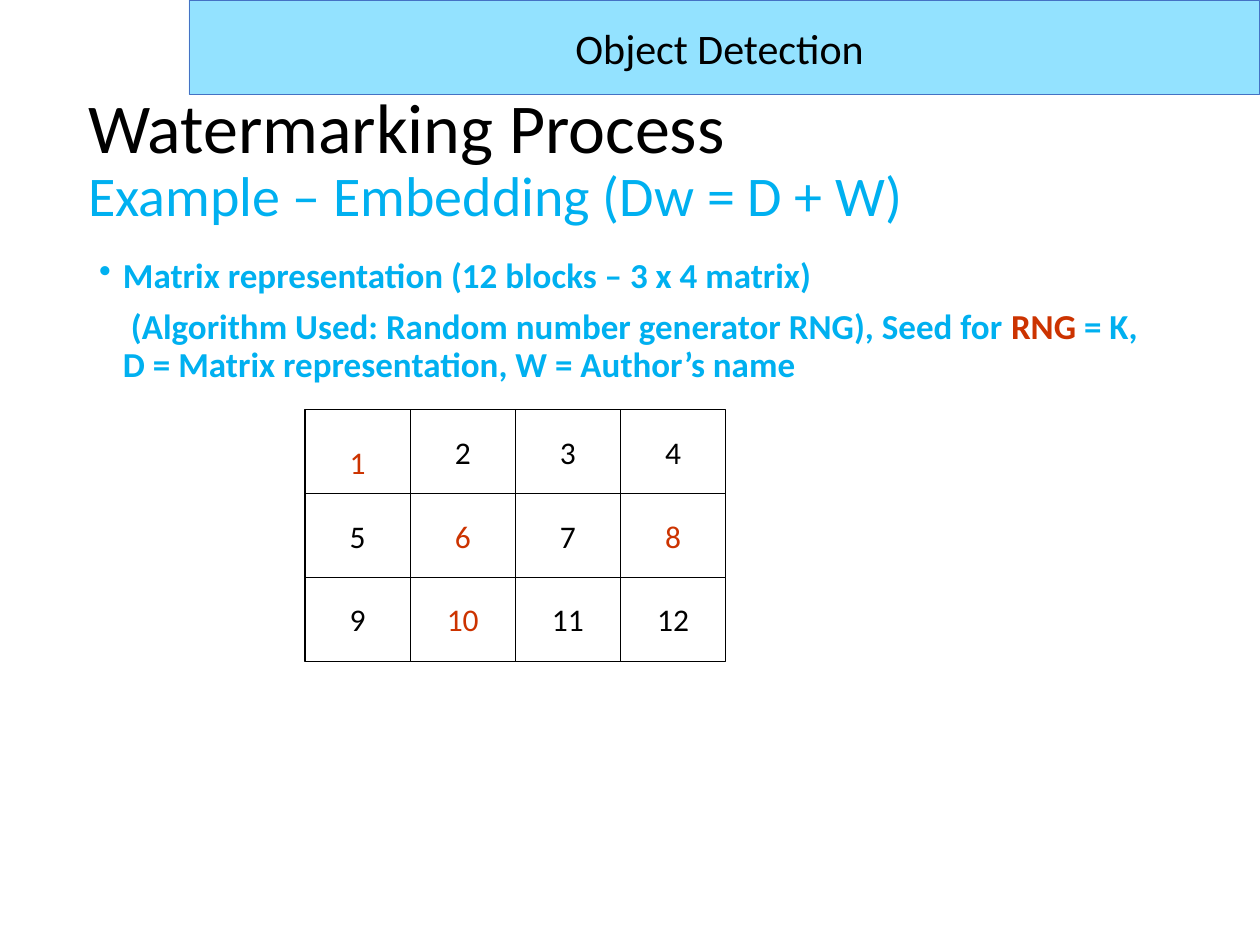
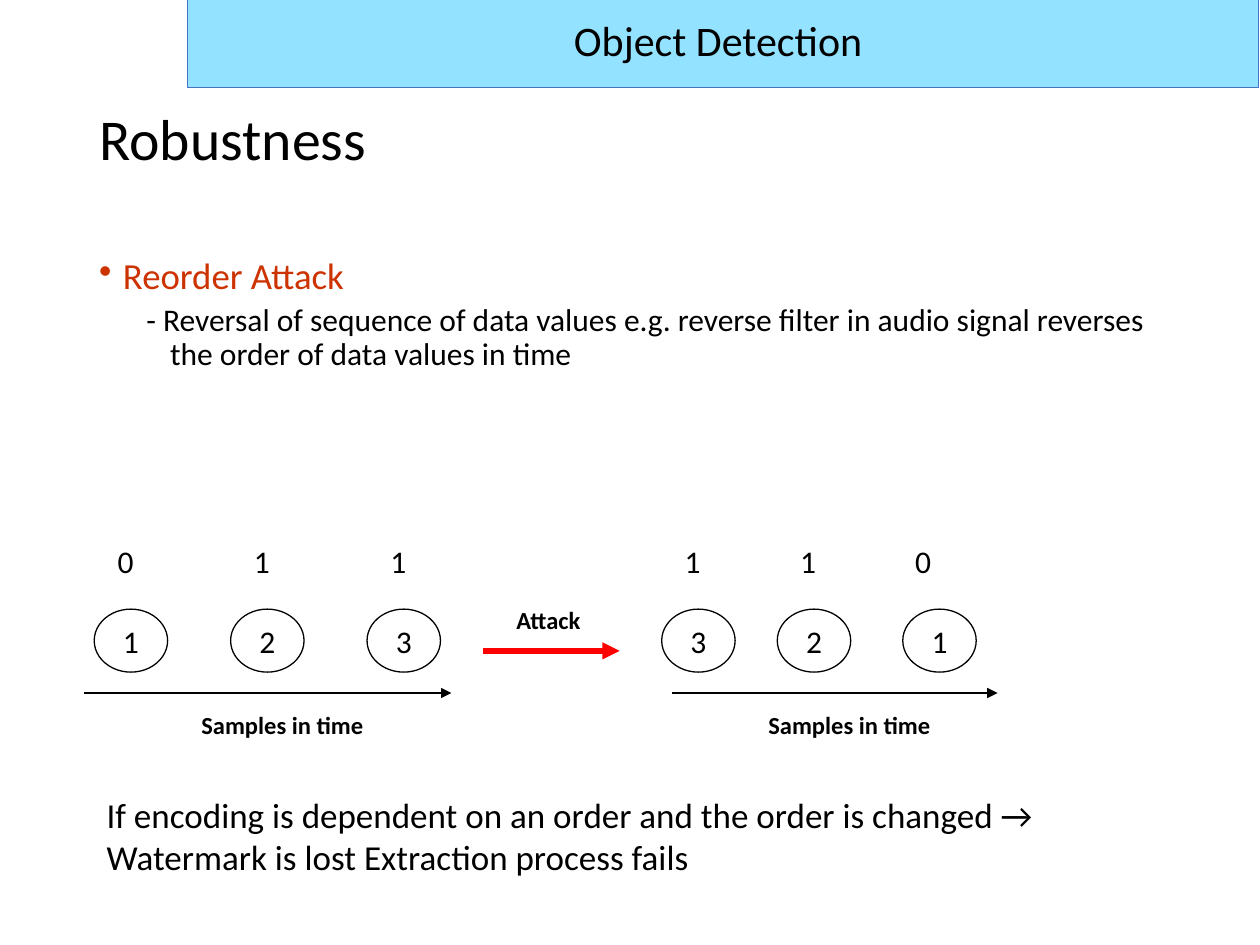
"""Builds two slides on watermarking: matrix embedding and the reorder attack."""
from copy import deepcopy
from lxml import etree
from pptx import Presentation
from pptx import util as u
from pptx.dml.color import RGBColor
from pptx.enum import shapes, text
from pptx.oxml import ns

BLACK, WHITE, RED, BLUE = "000000", "FFFFFF", "CC3300", "00B0F0"
BAND, EDGE, HOT = "93E2FF", "4472C4", "FF0000"
RECT, OVAL = shapes.MSO_SHAPE.RECTANGLE, shapes.MSO_SHAPE.OVAL


def rgb(code):
    return RGBColor.from_string(code)


def write(frame, words, size=18, color=BLACK, bold=False, align="LEFT", line=None,
          space=None, left=0, first=0, bullet=None, join=False):
    para = frame.paragraphs[-1]
    if para.runs and not join:
        para = frame.add_paragraph()
    if not join:
        props = para._p.get_or_add_pPr()
        props.set("marL", str(u.Cm(left)))
        props.set("indent", str(u.Cm(first)))
        if bullet:
            etree.SubElement(props, ns.qn("a:buChar")).set("char", bullet)
        para.alignment = getattr(text.PP_ALIGN, align)
        if line:
            para.line_spacing = line
        if space:
            para.space_before = u.Pt(space)
    run = para.add_run()
    run.text = words
    font = run.font
    font.name, font.size, font.bold = "Calibri", u.Pt(size), bold
    font.color.rgb = rgb(color)
    return run


deck = Presentation()
deck.slide_width, deck.slide_height = u.Cm(25.4), u.Cm(19.05)
embed, attack = [deck.slides.add_slide(deck.slide_layouts[5]) for _ in range(2)]

heads, bodies = [], []
for slide, left, top in [(embed, 1.52, 1.4), (attack, 1.75, 1.02)]:
    title = slide.shapes.title
    title.left, title.top = u.Cm(left), u.Cm(top)
    title.width, title.height = u.Cm(21.9), u.Cm(3.68)
    title.text_frame.auto_size = text.MSO_AUTO_SIZE.NONE
    title.text_frame.vertical_anchor = text.MSO_ANCHOR.MIDDLE
    heads.append(title.text_frame)
    body = slide.shapes.add_textbox(u.Cm(1.75), u.Cm(5.08), u.Cm(21.9), u.Cm(12.09))
    body.text_frame.word_wrap = True
    bodies.append(body.text_frame)

run = write(heads[0], "Watermarking Process", size=40, line=0.9)
para = heads[0].paragraphs[0]
para.add_line_break()
para._p[-1].append(deepcopy(run.font._rPr))
write(heads[0], "Example – Embedding (Dw = D + W)", size=32, color=BLUE, join=True)
write(heads[1], "Robustness", size=33, line=0.9)

bold = {"size": 20, "color": BLUE, "bold": True}
write(bodies[0], "Matrix representation (12 blocks – 3 x 4 matrix)", **bold,
      line=0.9, left=0.48, first=-0.48, bullet="•")
write(bodies[0], "(Algorithm Used: Random number generator RNG), Seed for ", **bold,
      line=0.9, space=7.5, left=0.48, first=0.16)
write(bodies[0], "RNG", size=20, color=RED, bold=True, join=True)
write(bodies[0], " = K, D = Matrix representation, W = Author’s name", **bold, join=True)
write(bodies[1], "Reorder Attack", size=21, color=RED,
      line=0.9, left=0.48, first=-0.48, bullet="•")
write(bodies[1], "- Reversal of sequence of data values e.g. reverse filter in audio signal "
      "reverses the order of data values in time",
      line=0.9, space=3.8, left=1.43, first=-0.48)

nodes = []
for num in range(1, 13):
    row, col = divmod(num - 1, 4)
    high = 2.12 if num == 1 else 1.69
    tint = RED if num in (1, 6, 8, 10) else BLACK
    nodes.append((embed, RECT, 6.15 + 2.12 * col, 8.26 + 1.69 * row, 2.12, high,
                  str(num), 18, tint, WHITE, BLACK, 0.75))
for left, name in zip([1.9, 4.65, 7.4, 13.34, 15.67, 18.2], "123321"):
    nodes.append((attack, OVAL, left, 12.28, 1.48, 1.27,
                  name, 18, BLACK, WHITE, BLACK, 0.75))
for slide, left, top in [(embed, 3.81, 0), (attack, 3.78, -0.15)]:
    nodes.append((slide, RECT, left, top, 21.59, 1.91,
                  "Object Detection ", 24, BLACK, BAND, EDGE, 0.5))

for slide, kind, left, top, wide, high, name, size, tint, fill, edge, thick in nodes:
    node = slide.shapes.add_shape(kind, u.Cm(left), u.Cm(top), u.Cm(wide), u.Cm(high))
    node.shadow.inherit = False
    node.fill.solid()
    node.fill.fore_color.rgb = rgb(fill)
    node.line.color.rgb = rgb(edge)
    node.line.width = u.Pt(thick)
    node.text_frame.word_wrap = fill == BAND
    node.text_frame.vertical_anchor = text.MSO_ANCHOR.MIDDLE
    write(node.text_frame, name, size=size, color=tint, align="CENTER")

labels = [(left, 10.8, 1.48, 1.02, bit, 18, False)
          for left, bit in zip([2.12, 4.87, 7.62, 13.55, 15.88, 18.2], "011110")]
labels += [(left, 14.18, 6.35, 0.85, "Samples in time", 14, True) for left in (3.81, 15.24)]
labels += [(10.16, 12.07, 2.54, 0.85, "Attack", 14, True),
           (1.9, 15.88, 20.11, 1.96, "If encoding is dependent on an order and the order is "
            "changed → Watermark is lost Extraction process fails", 20, False)]
for left, top, wide, high, words, size, heavy in labels:
    box = attack.shapes.add_textbox(u.Cm(left), u.Cm(top), u.Cm(wide), u.Cm(high))
    box.text_frame.word_wrap = True
    box.text_frame.auto_size = text.MSO_AUTO_SIZE.SHAPE_TO_FIT_TEXT
    write(box.text_frame, words, size=size, bold=heavy)

for start, end, top, tint, thick in [(9.74, 12.49, 13.12, HOT, 3.25),
                                     (1.69, 9.1, 13.97, BLACK, 0.75),
                                     (13.55, 20.11, 13.97, BLACK, 0.75)]:
    arrow = attack.shapes.add_connector(shapes.MSO_CONNECTOR.STRAIGHT,
                                        u.Cm(start), u.Cm(top), u.Cm(end), u.Cm(top))
    arrow.line.color.rgb = rgb(tint)
    arrow.line.width = u.Pt(thick)
    tail = etree.SubElement(arrow.line._get_or_add_ln(), ns.qn("a:tailEnd"))
    tail.set("type", "triangle")
    etree.SubElement(arrow._element.spPr, ns.qn("a:effectLst"))

deck.save("out.pptx")
